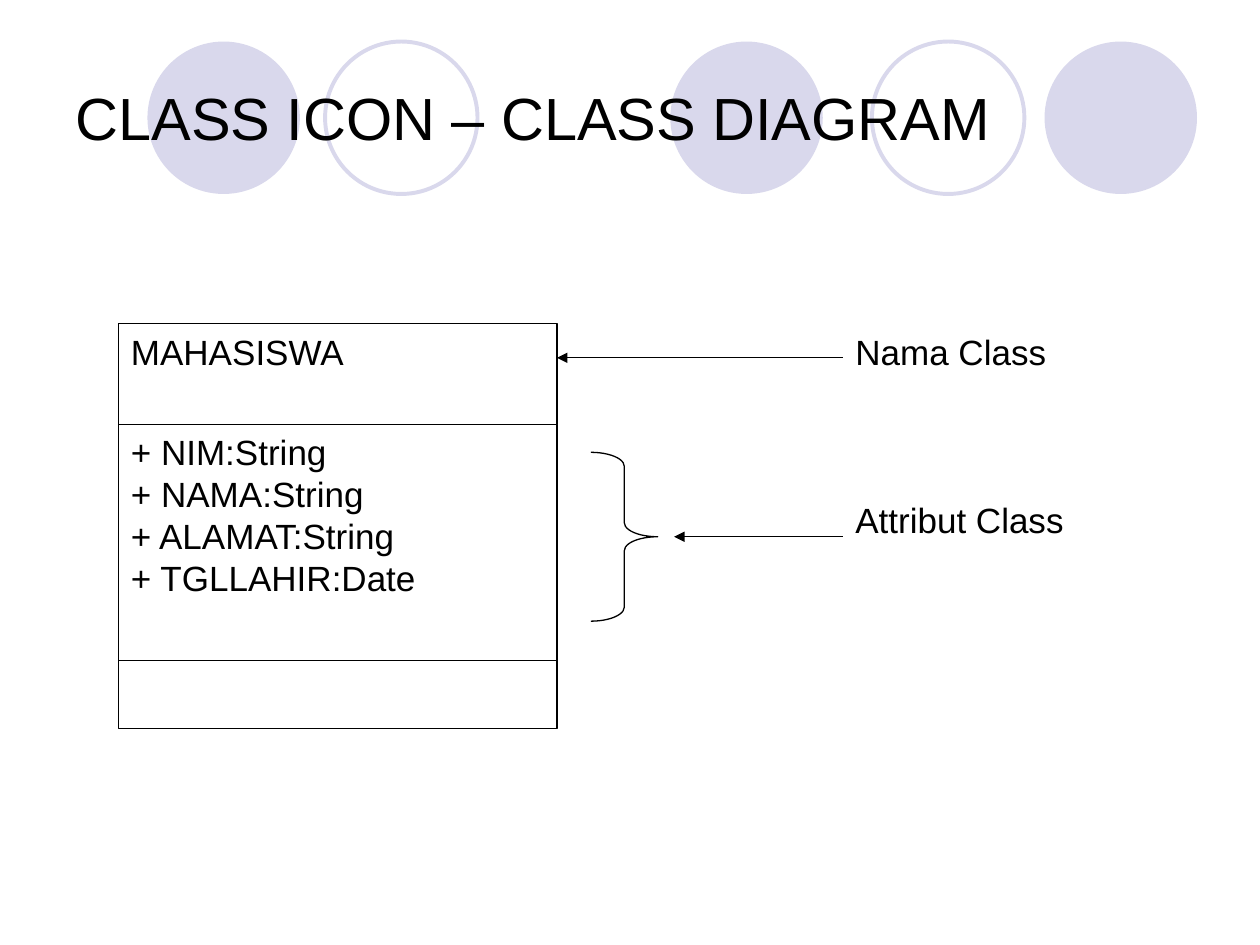
"""Build a slide that explains the parts of a class icon in a class diagram."""
from dataclasses import dataclass

from lxml.etree import SubElement
from pptx import Presentation
from pptx.dml.color import RGBColor
from pptx.enum.shapes import MSO_CONNECTOR, MSO_SHAPE
from pptx.enum.text import MSO_ANCHOR, MSO_AUTO_SIZE, PP_ALIGN
from pptx.oxml.ns import qn
from pptx.util import Inches, Pt


@dataclass(frozen=True)
class Theme:
    font: str = "Arial"
    ink: RGBColor = RGBColor(0x00, 0x00, 0x00)
    paper: RGBColor = RGBColor(0xFF, 0xFF, 0xFF)
    lilac: RGBColor = RGBColor(0xD9, 0xD8, 0xEC)
    title_size: Pt = Pt(34)
    body_size: Pt = Pt(20)
    body_spacing: Pt = Pt(24)
    thin: Pt = Pt(0.75)
    ring: Pt = Pt(2.25)


theme = Theme()


def write(frame, lines, size=theme.body_size, spacing=theme.body_spacing,
          anchor=MSO_ANCHOR.TOP):
    frame.word_wrap = True
    frame.auto_size = MSO_AUTO_SIZE.NONE
    frame.vertical_anchor = anchor
    frame.text = "\n".join(lines)
    for paragraph in frame.paragraphs:
        paragraph.alignment = PP_ALIGN.LEFT
        paragraph.line_spacing = spacing
        paragraph.font.name = theme.font
        paragraph.font.size = size
        paragraph.font.color.rgb = theme.ink


deck = Presentation()
deck.slide_width, deck.slide_height = Inches(10), Inches(7.5)
slide = deck.slides.add_slide(deck.slide_layouts[5])
slide.background.fill.solid()
slide.background.fill.fore_color.rgb = theme.paper
shapes = slide.shapes

diameter = Inches(1.21)
for left, filled in [(5.32, True), (8.29, True), (1.17, True), (6.92, False), (2.58, False)]:
    circle = shapes.add_shape(MSO_SHAPE.OVAL, Inches(left), Inches(0.33), diameter, diameter)
    circle.shadow.inherit = False
    if filled:
        circle.fill.solid()
        circle.fill.fore_color.rgb = theme.lilac
        circle.line.fill.background()
    else:
        circle.fill.background()
        circle.line.color.rgb = theme.lilac
        circle.line.width = theme.ring

title = shapes.title
title.left, title.top, title.width, title.height = (
    Inches(0.5), Inches(0.3), Inches(9), Inches(1.25))
write(title.text_frame, ["CLASS ICON – CLASS DIAGRAM"], size=theme.title_size,
      spacing=1.0, anchor=MSO_ANCHOR.MIDDLE)
title.element.getparent().append(title.element)

class_left, class_top, class_width = 0.94, 2.57, 3.48
attributes = ["+ NIM:String", "+ NAMA:String", "+ ALAMAT:String", "+ TGLLAHIR:Date"]
compartment_top = class_top
for height, lines in [(0.8, ["MAHASISWA"]), (1.87, attributes), (0.54, [])]:
    compartment = shapes.add_shape(
        MSO_SHAPE.RECTANGLE, Inches(class_left), Inches(compartment_top),
        Inches(class_width), Inches(height))
    compartment.shadow.inherit = False
    compartment.fill.solid()
    compartment.fill.fore_color.rgb = theme.paper
    compartment.line.color.rgb = theme.ink
    compartment.line.width = theme.thin
    write(compartment.text_frame, lines)
    compartment_top += height

brace = shapes.add_shape(
    MSO_SHAPE.RIGHT_BRACE, Inches(4.69), Inches(3.59), Inches(0.53), Inches(1.34))
brace.shadow.inherit = False
brace.adjustments[0] = 0.21
brace.fill.background()
brace.line.color.rgb = theme.ink
brace.line.width = theme.thin

label_left = 6.69
for label, label_top, arrow_y, arrow_tip in [
    ("Nama Class", class_top, 2.84, class_left + class_width),
    ("Attribut Class", 3.91, 4.26, 5.35),
]:
    arrow = shapes.add_connector(
        MSO_CONNECTOR.STRAIGHT, Inches(label_left), Inches(arrow_y),
        Inches(arrow_tip), Inches(arrow_y))
    arrow.line.color.rgb = theme.ink
    arrow.line.width = theme.thin
    SubElement(arrow.line._get_or_add_ln(), qn("a:tailEnd"), type="triangle")
    SubElement(arrow.element.spPr, qn("a:effectLst"))
    caption = shapes.add_textbox(
        Inches(label_left), Inches(label_top), Inches(2.94), Inches(0.8))
    write(caption.text_frame, [label])

deck.save("out.pptx")
